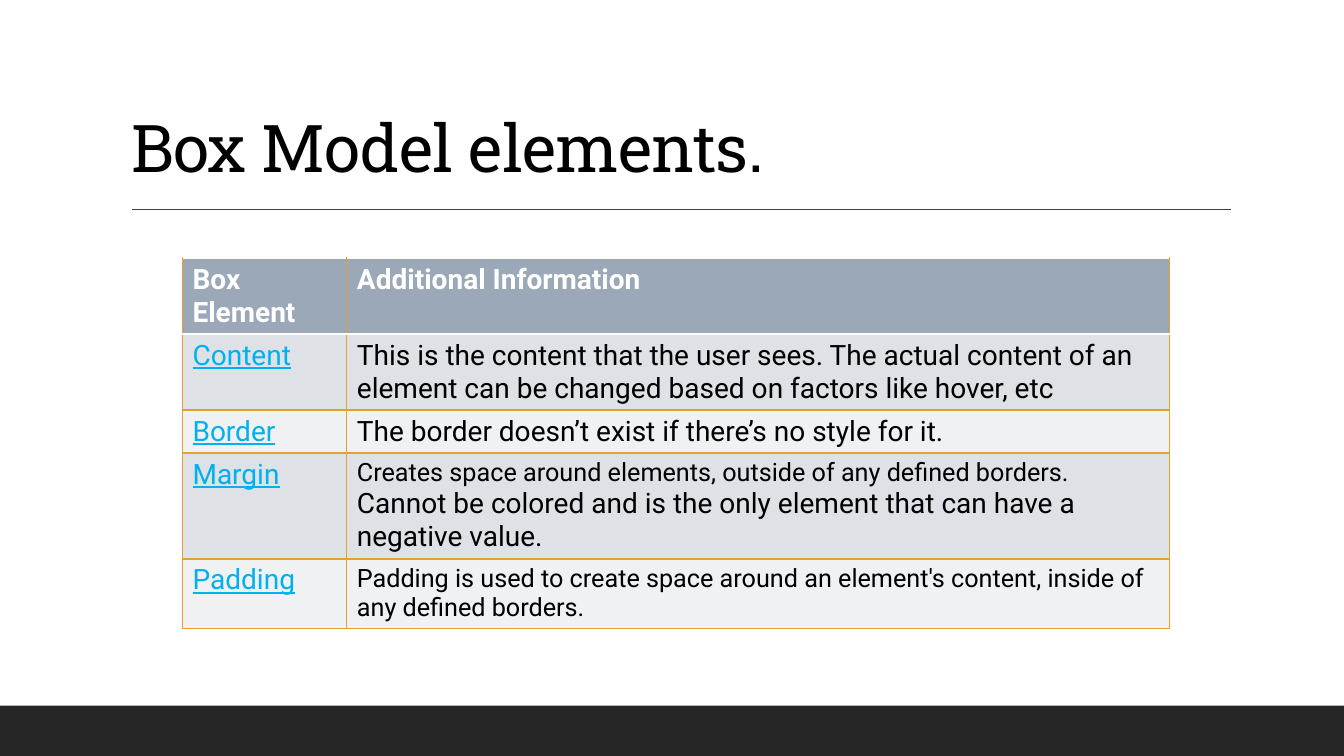
from lxml import etree
from pptx import Presentation
from pptx.dml.color import RGBColor
from pptx.enum import shapes, text
from pptx.oxml import ns
from pptx.util import Inches, Pt

COLORS = {
    "bar": "262626", "rule": "404040", "black": "000000", "white": "FFFFFF",
    "term": "00B0F0", "border": "E6A02E",
    "header": "9BA8B7", "odd": "DEE1E6", "even": "EFF1F3",
}
STYLES = {
    "title": ({"name": "Roboto Slab", "size": Pt(47), "bold": False}, "black"),
    "header": ({"name": "Roboto", "size": Pt(20), "bold": True}, "white"),
    "term": ({"name": "Roboto", "size": Pt(20), "bold": False, "underline": True}, "term"),
    "body": ({"name": "Roboto", "size": Pt(20), "bold": False}, "black"),
    "small": ({"name": "Roboto", "size": Pt(18), "bold": False}, "black"),
}
COLUMN_WIDTHS = [1.63, 8.16]
ROWS = [
    (0.75, [("Box Element", "header")], [("Additional Information", "header")]),
    (0.75, [("Content", "term")],
     [("This is the content that the user sees. The actual content of an element "
       "can be changed based on factors like hover, etc", "body")]),
    (0.42, [("Border", "term")],
     [("The border doesn’t exist if there’s no style for it.", "body")]),
    (1.05, [("Margin", "term")],
     [("Creates space around elements, outside of any defined borders. ", "small"),
      ("Cannot be colored and is the only element that can have a negative value.", "body")]),
    (0.69, [("Padding", "term")],
     [("Padding is used to create space around an element's content, inside of any "
       "defined borders.", "small")]),
]


def color(name):
    """Return the named colour."""
    return RGBColor.from_string(COLORS[name])


def add_run(paragraph, words, style):
    """Add a run of words in a named style."""
    run = paragraph.add_run()
    run.text = words
    values, color_name = STYLES[style]
    for attribute, value in values.items():
        setattr(run.font, attribute, value)
    run.font.color.rgb = color(color_name)
    return run


def add_title(slide, box, words):
    """Place the title placeholder in its box and the rule beneath it."""
    left, top, width, height = box
    title = slide.shapes.title
    for attribute, value in zip(("left", "top", "width", "height"), box):
        setattr(title, attribute, Inches(value))
    frame = title.text_frame
    for attribute, value in {"vertical_anchor": text.MSO_ANCHOR.BOTTOM,
                             "auto_size": text.MSO_AUTO_SIZE.NONE,
                             "word_wrap": True}.items():
        setattr(frame, attribute, value)
    paragraph = frame.paragraphs[0]
    paragraph.alignment = text.PP_ALIGN.LEFT
    paragraph.line_spacing = 0.9
    run = add_run(paragraph, words, "title")
    run.font._element.set("spc", "-50")

    rule_y = Inches(top + height + 0.18)
    rule = slide.shapes.add_connector(
        shapes.MSO_CONNECTOR.STRAIGHT,
        Inches(left + 0.11), rule_y, Inches(left + width + 0.01), rule_y)
    rule.line.color.rgb = color("rule")
    rule.line.width = Pt(1)
    etree.SubElement(rule._element.spPr, ns.qn("a:effectLst"))


def add_borders(cell, sides):
    """Draw the cell's borders on the given sides."""
    properties = cell._tc.get_or_add_tcPr()
    for side in sides:
        line = etree.SubElement(properties, ns.qn(f"a:ln{side}"), w=str(Pt(1)))
        fill = etree.SubElement(line, ns.qn("a:solidFill"))
        etree.SubElement(fill, ns.qn("a:srgbClr"), val=COLORS["border"])


def add_elements_table(slide, box):
    """Place the table of box elements in its box."""
    table = slide.shapes.add_table(
        len(ROWS), len(COLUMN_WIDTHS), *map(Inches, box)).table
    for column, width in zip(table.columns, COLUMN_WIDTHS):
        column.width = Inches(width)
    for index, (height, *contents) in enumerate(ROWS):
        table.rows[index].height = Inches(height)
        band = "header" if index == 0 else "odd" if index % 2 else "even"
        sides = "LR" if index == 0 else "LRB" if index == 1 else "LRTB"
        for cell, runs in zip(table.rows[index].cells, contents):
            add_borders(cell, sides)
            cell.fill.solid()
            cell.fill.fore_color.rgb = color(band)
            for words, style in runs:
                add_run(cell.text_frame.paragraphs[0], words, style)


def add_bottom_bar(slide, box):
    """Place the dark bar in its box."""
    bar = slide.shapes.add_shape(shapes.MSO_SHAPE.RECTANGLE, *map(Inches, box))
    bar.shadow.inherit = False
    bar.fill.solid()
    bar.fill.fore_color.rgb = color("bar")
    bar.line.fill.background()


def main():
    """Build and save the presentation."""
    presentation = Presentation()
    presentation.slide_width = Inches(13.33)
    presentation.slide_height = Inches(7.5)
    slide = presentation.slides.add_slide(presentation.slide_layouts[5])
    add_bottom_bar(slide, (0, 7, 13.33, 0.5))
    add_title(slide, (1.2, 0.31, 11, 1.59), "Box Model elements.")
    add_elements_table(slide, (1.81, 2.56, sum(COLUMN_WIDTHS), sum(row[0] for row in ROWS)))
    presentation.save("out.pptx")


if __name__ == "__main__":
    main()
